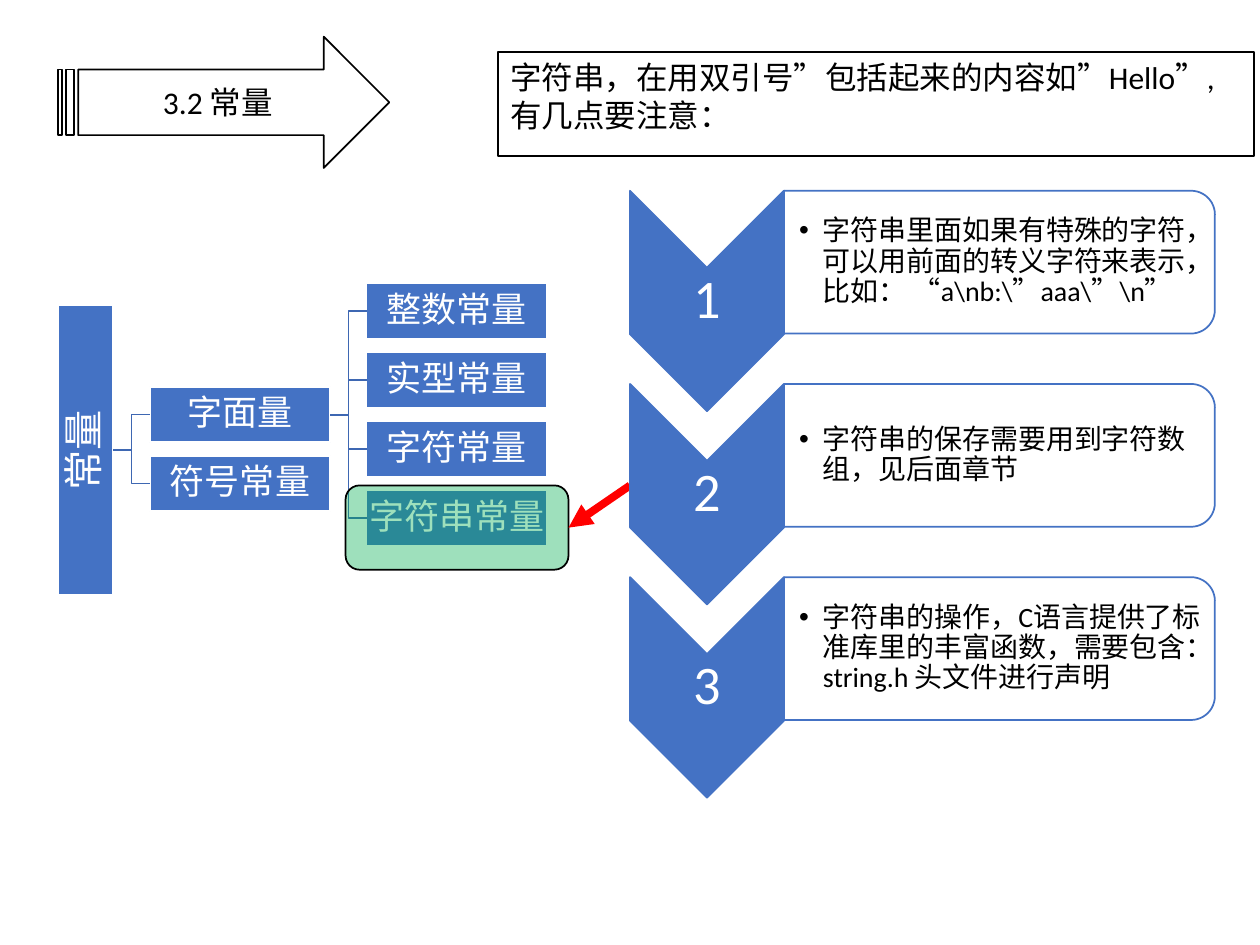
from dataclasses import dataclass

from lxml.etree import SubElement
from pptx import Presentation
from pptx.dml.color import RGBColor
from pptx.enum.shapes import MSO_CONNECTOR as Connector, MSO_SHAPE as Shape
from pptx.enum.text import MSO_ANCHOR as Anchor, MSO_AUTO_SIZE as AutoSize, PP_ALIGN as Align
from pptx.oxml.ns import qn
from pptx.util import Pt


@dataclass(frozen=True)
class Theme:
    font: str = "Calibri"
    black: str = "000000"
    white: str = "FFFFFF"
    blue: str = "4472C4"
    branch: str = "3E67B2"
    green: str = "00B050"
    red: str = "FF0000"
    heading: int = 18
    root: int = 23
    node: int = 20
    number: int = 31
    point: int = 16


THEME = Theme()
INTRO = "字符串，在用双引号”包括起来的内容如”Hello”, 有几点要注意："
POINTS = [
    r"字符串里面如果有特殊的字符，可以用前面的转义字符来表示，比如： “a\nb:\”aaa\”\n”",
    "字符串的保存需要用到字符数组，见后面章节",
    "字符串的操作，C语言提供了标准库里的丰富函数，需要包含：string.h 头文件进行声明",
]
LITERALS = ["整数常量", "实型常量", "字符常量", "字符串常量"]

# Constant tree grid
NODE_WIDTH, NODE_HEIGHT, NODE_PITCH = 103, 31.7, 39.4
# Numbered points grid
STEP_TOP, STEP_PITCH = 109, 110.4
CHEVRON_LEFT, CHEVRON_WIDTH, CHEVRON_HEIGHT = 360, 88, 126
PANEL_WIDTH, PANEL_HEIGHT = 246.2, 81.6


def apply_format(target, values):
    for name, value in values.items():
        setattr(target, name, value)


def place(shape, left, top, width, height):
    apply_format(shape, {"left": Pt(left), "top": Pt(top),
                         "width": Pt(width), "height": Pt(height)})


def paint(shape, fill, line, opacity=100):
    shape.fill.solid()
    shape.fill.fore_color.rgb = RGBColor.from_string(fill)
    shape.line.color.rgb = RGBColor.from_string(line)
    shape.line.width = Pt(1)
    if opacity < 100:
        color = shape._element.spPr.find(qn("a:solidFill"))[0]
        SubElement(color, qn("a:alpha"), val=str(opacity * 1000))


def write(shape, text, size, color, align=Align.CENTER, anchor=Anchor.MIDDLE,
          spacing=0.9, insets=(1, 1, 1, 1)):
    frame = shape.text_frame
    sides = ("margin_left", "margin_top", "margin_right", "margin_bottom")
    apply_format(frame, {"word_wrap": True, "auto_size": AutoSize.NONE,
                         "vertical_anchor": anchor,
                         **dict(zip(sides, map(Pt, insets)))})
    paragraph = frame.paragraphs[0]
    apply_format(paragraph, {"alignment": align, "line_spacing": spacing,
                             "space_before": Pt(0)})
    run = paragraph.add_run()
    run.text = text
    apply_format(run.font, {"name": THEME.font, "size": Pt(size), "bold": False})
    run.font.color.rgb = RGBColor.from_string(color)
    return paragraph


def set_bullet(paragraph, indent, character=None):
    properties = paragraph._p.get_or_add_pPr()
    properties.set("marL", str(Pt(indent)))
    properties.set("indent", str(-Pt(indent)))
    if character:
        SubElement(properties, qn("a:buFont"), typeface="Arial")
        SubElement(properties, qn("a:buChar"), char=character)
    else:
        SubElement(properties, qn("a:buNone"))


def add_box(slide, kind, box, fill, line, opacity=100, rotation=0):
    """Add a preset shape; box is its outline as seen, also after a quarter turn."""
    left, top, width, height = box
    if rotation % 180:
        left, top = left + (width - height) / 2, top + (height - width) / 2
        width, height = height, width
    shape = slide.shapes.add_shape(kind, *map(Pt, (left, top, width, height)))
    shape.rotation = rotation
    shape.shadow.inherit = False
    paint(shape, fill, line, opacity)
    return shape


def add_line(slide, kind, start, end, color, width):
    connector = slide.shapes.add_connector(kind, *map(Pt, (*start, *end)))
    connector.line.color.rgb = RGBColor.from_string(color)
    connector.line.width = Pt(width)
    SubElement(connector._element.spPr, qn("a:effectLst"))
    return connector


def add_node(slide, text, left, top):
    node = add_box(slide, Shape.RECTANGLE, (left, top, NODE_WIDTH, NODE_HEIGHT),
                   THEME.blue, THEME.white)
    write(node, text, THEME.node, THEME.white)
    return node


def add_branches(slide, parent, children):
    for child in children:
        branch = add_line(slide, Connector.ELBOW, (0, 0), (0, 0), THEME.branch, 1)
        branch.begin_connect(parent, 3)
        branch.end_connect(child, 1)


def add_heading(slide):
    add_box(slide, Shape.STRIPED_RIGHT_ARROW, (33, 21, 189.5, 75),
            THEME.white, THEME.black)
    title = slide.shapes.title
    place(title, 44, 40, 161, 37)
    write(title, "3.2 常量", THEME.heading, THEME.black, spacing=1)
    slide.shapes._spTree.append(title._element)


def add_intro(placeholder):
    place(placeholder, 284.5, 29.5, 432, 59.8)
    paint(placeholder, THEME.white, THEME.black)
    paragraph = write(placeholder, INTRO, THEME.heading, THEME.black, Align.LEFT,
                      Anchor.TOP, 1, (7.2, 3.6, 7.2, 3.6))
    set_bullet(paragraph, 0)


def add_tree(slide):
    root = add_box(slide, Shape.RECTANGLE, (33, 174.4, NODE_HEIGHT, 165.6),
                   THEME.blue, THEME.white)
    write(root, "常量", THEME.root, THEME.white)
    root.text_frame._txBody.bodyPr.set("vert", "vert270")
    kinds = [add_node(slide, text, 85.7, 221.1 + i * NODE_PITCH)
             for i, text in enumerate(["字面量", "符号常量"])]
    literals = [add_node(slide, text, 209.5, 162 + i * NODE_PITCH)
                for i, text in enumerate(LITERALS)]
    add_branches(slide, root, kinds)
    add_branches(slide, kinds[0], literals)


def add_highlight(slide):
    highlight = add_box(slide, Shape.ROUNDED_RECTANGLE, (197.5, 277.4, 127.4, 48.2),
                        THEME.green, THEME.black, opacity=38)
    arrow = add_line(slide, Connector.STRAIGHT, (360, 277.4), (325, 301.5),
                     THEME.red, 4.5)
    arrow.end_connect(highlight, 3)
    SubElement(arrow.line._get_or_add_ln(), qn("a:tailEnd"), type="triangle")


def add_point(slide, index, text, placeholder):
    top = STEP_TOP + index * STEP_PITCH
    panel_left = CHEVRON_LEFT + CHEVRON_WIDTH
    add_box(slide, Shape.CHEVRON, (CHEVRON_LEFT, top, CHEVRON_WIDTH, CHEVRON_HEIGHT),
            THEME.blue, THEME.blue, rotation=90)
    number = slide.shapes.add_textbox(*map(Pt, (CHEVRON_LEFT, top + 44.3,
                                                CHEVRON_WIDTH, 37.4)))
    write(number, str(index + 1), THEME.number, THEME.white)
    add_box(slide, Shape.ROUND_2_SAME_RECTANGLE,
            (panel_left, top, PANEL_WIDTH, PANEL_HEIGHT),
            THEME.white, THEME.blue, opacity=90, rotation=90)
    place(placeholder, panel_left, top + 4, 242.6, 73.6)
    paragraph = write(placeholder, text, THEME.point, THEME.black, Align.LEFT,
                      insets=(8.6, 1, 1, 1))
    set_bullet(paragraph, 13.7, "•")
    slide.shapes._spTree.append(placeholder._element)


def main():
    presentation = Presentation()
    apply_format(presentation, {"slide_width": Pt(720), "slide_height": Pt(540)})
    # The comparison layout holds a title and four bodies
    slide = presentation.slides.add_slide(presentation.slide_layouts[4])
    intro, *bodies = [p for p in slide.placeholders
                      if 1 <= p.placeholder_format.idx <= 4]

    # Heading and introduction
    add_heading(slide)
    add_intro(intro)

    # Tree of constants with the current topic marked
    add_tree(slide)
    add_highlight(slide)

    # Numbered points
    for index, (text, body) in enumerate(zip(POINTS, bodies)):
        add_point(slide, index, text, body)

    presentation.save("out.pptx")


if __name__ == "__main__":
    main()
